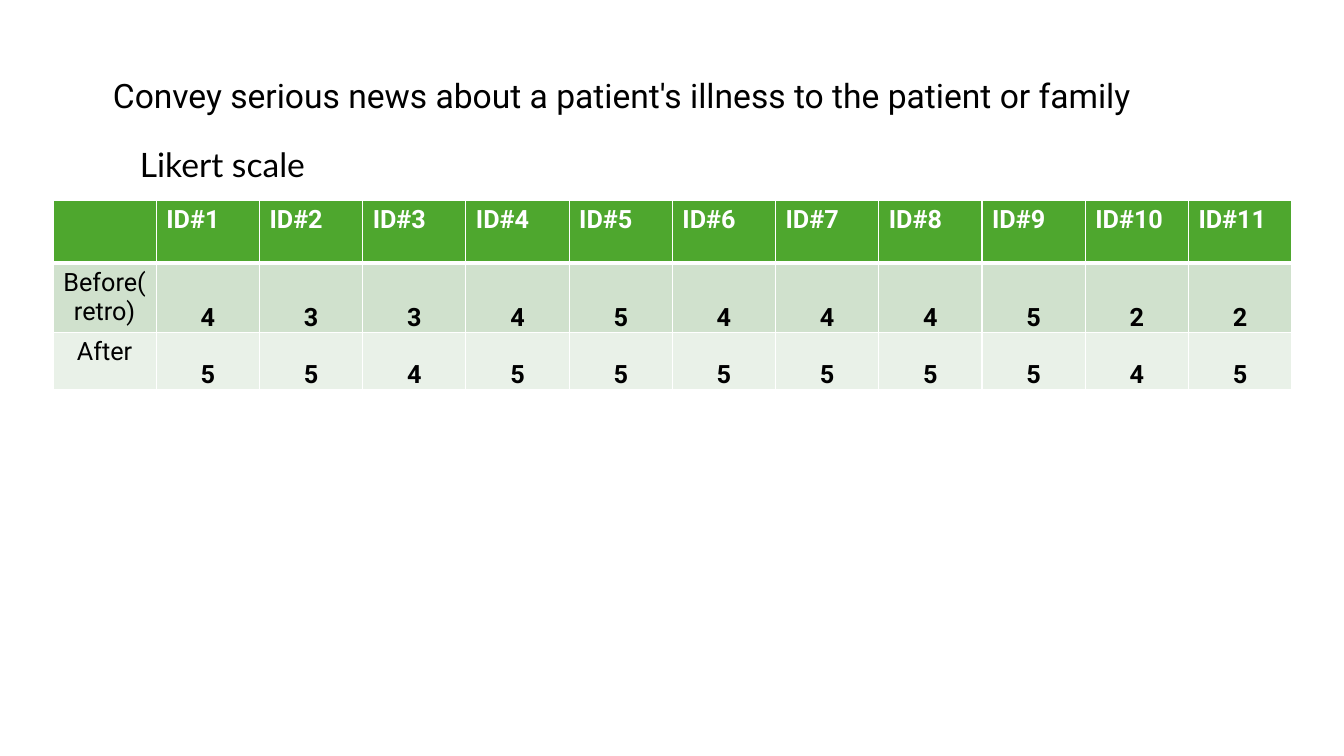
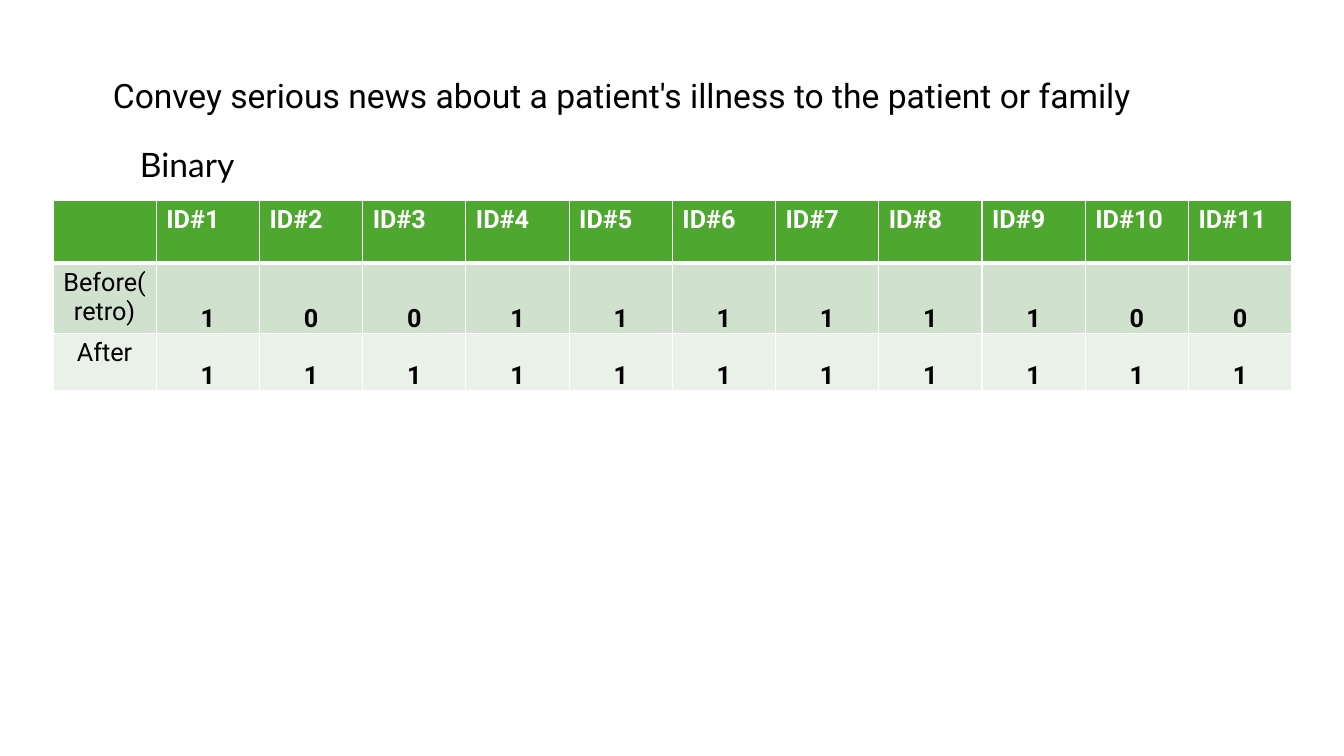
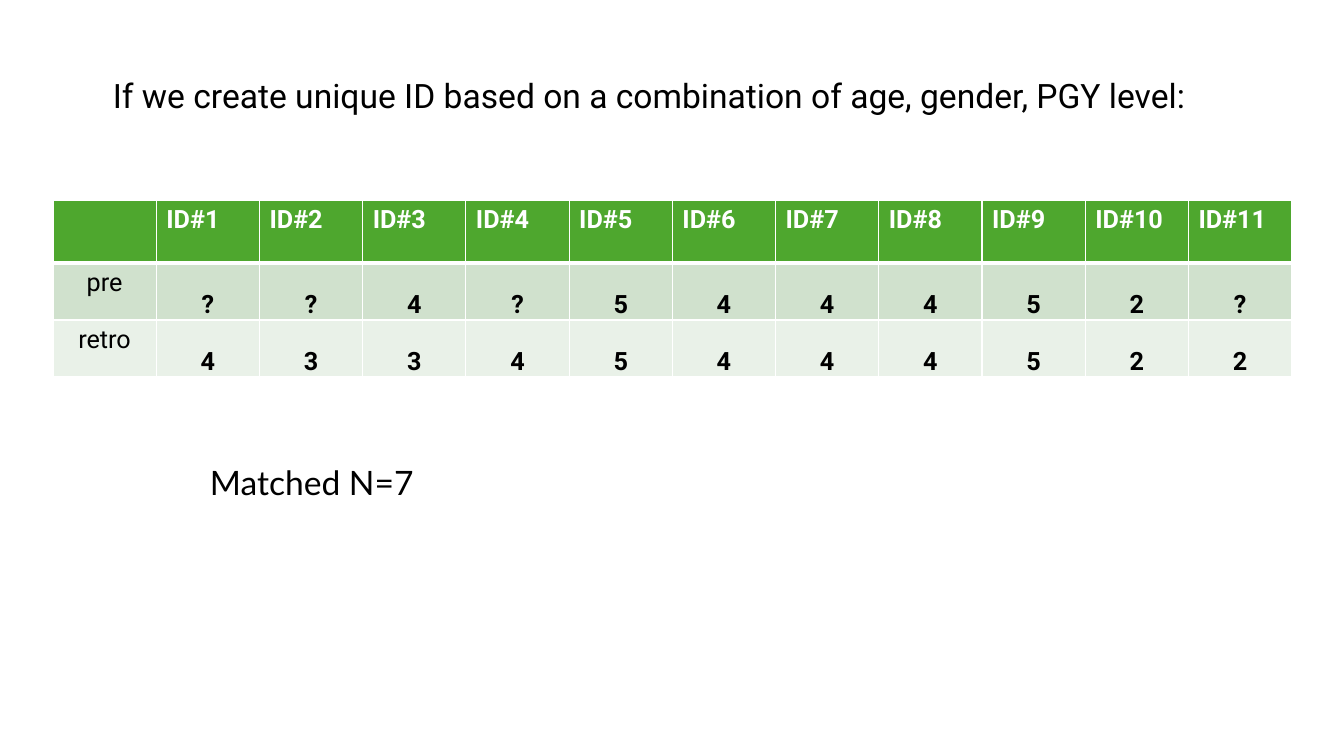
from lxml.etree import SubElement
from pptx import Presentation
from pptx.dml.color import RGBColor
from pptx.enum.text import MSO_ANCHOR, MSO_AUTO_SIZE, PP_ALIGN
from pptx.oxml.ns import qn
from pptx.util import Emu, Pt

PX_PER_INCH = 100.8
WHITE, BLACK = "FFFFFF", "000000"
ROW_FILLS = ["4EA72E", "D0E1CD", "E9F1E8"]
ROW_HEIGHTS = [63, 57, 57]
TABLE_LEFT, TABLE_TOP, TABLE_WIDTH = 53, 200, 1239
TITLE_FONT, NOTE_FONT = "Roboto", "Lato"
HEADER = [""] + [f"ID#{number}" for number in range(1, 12)]
NEWS_TITLE = "Convey serious news about a patient's illness to the patient or family"
ID_TITLE = "If we create unique ID based on a combination of age, gender, PGY level:"


def px(length):
    """Turn px into EMU."""
    return Emu(round(length * 914400 / PX_PER_INCH))


def color(code):
    """Turn a hex string into a colour."""
    return RGBColor.from_string(code)


def style(paragraph, size, name, code, bold=False):
    """Set the font of a whole paragraph."""
    font = paragraph.font
    font.size, font.name, font.bold = Pt(size), name, bold
    font.color.rgb = color(code)


def add_text(page, text, left, top, width, name):
    """Add one line of 24 pt text."""
    box = page.shapes.add_textbox(px(left), px(top), px(width), px(50))
    frame = box.text_frame
    frame.word_wrap = True
    frame.auto_size = MSO_AUTO_SIZE.SHAPE_TO_FIT_TEXT
    frame.text = text
    style(frame.paragraphs[0], 24, name, BLACK)


def add_border(cell, side, points):
    """Draw one white side of a table cell."""
    properties = cell._tc.get_or_add_tcPr()
    line = SubElement(properties, qn(f"a:ln{side}"), w=str(Pt(points)))
    fill = SubElement(line, qn("a:solidFill"))
    SubElement(fill, qn("a:srgbClr"), val=WHITE)


def fill_cell(cell, text, row, column):
    """Write and style one cell by its place in the table."""
    borders = {"L": 1, "R": 1, "T": 3 if row == 1 else 1, "B": 3 if row == 0 else 1}
    for side, points in borders.items():
        add_border(cell, side, points)
    cell.fill.solid()
    cell.fill.fore_color.rgb = color(ROW_FILLS[row])
    cell.text = text
    paragraph = cell.text_frame.paragraphs[0]
    is_header, is_score = row == 0, row > 0 and column > 0
    style(paragraph, 18, TITLE_FONT, WHITE if is_header else BLACK, is_header or is_score)
    if not is_header:
        paragraph.alignment = PP_ALIGN.CENTER
    if is_score:
        cell.vertical_anchor = MSO_ANCHOR.BOTTOM
        cell.margin_left = cell.margin_right = cell.margin_top = px(1)
        cell.margin_bottom = 0


def add_scores(page, scores):
    """Add the table of scores, one column for each ID."""
    rows = [HEADER] + [[label, *values] for label, values in scores.items()]
    frame = page.shapes.add_table(
        len(rows), len(HEADER), px(TABLE_LEFT), px(TABLE_TOP),
        px(TABLE_WIDTH), px(sum(ROW_HEIGHTS)))
    table = frame.table
    for column in table.columns:
        column.width = px(TABLE_WIDTH / len(HEADER))
    for row, texts in enumerate(rows):
        table.rows[row].height = px(ROW_HEIGHTS[row])
        for column, text in enumerate(texts):
            fill_cell(table.cell(row, column), text, row, column)


def add_page(deck, title, title_width, scores, note, note_place):
    """Add a slide with a title, a table of scores and a note."""
    page = deck.slides.add_slide(deck.slide_layouts[6])
    add_scores(page, scores)
    add_text(page, title, 103, 70, title_width, TITLE_FONT)
    add_text(page, note, *note_place, NOTE_FONT)


def main():
    """Build the deck."""
    deck = Presentation()
    deck.slide_width, deck.slide_height = px(1344), px(756)
    scale_place = (130, 139, 341)
    add_page(deck, NEWS_TITLE, 1052,
             {"Before(retro)": "43345444522", "After": "55455555545"},
             "Likert scale", scale_place)
    add_page(deck, NEWS_TITLE, 1052,
             {"Before(retro)": "10011111100", "After": "11111111111"},
             "Binary", scale_place)
    add_page(deck, ID_TITLE, 1128,
             {"pre": "??4?544452?", "retro": "43345444522"},
             "Matched N=7", (200, 457, 852))
    deck.save("out.pptx")


if __name__ == "__main__":
    main()
